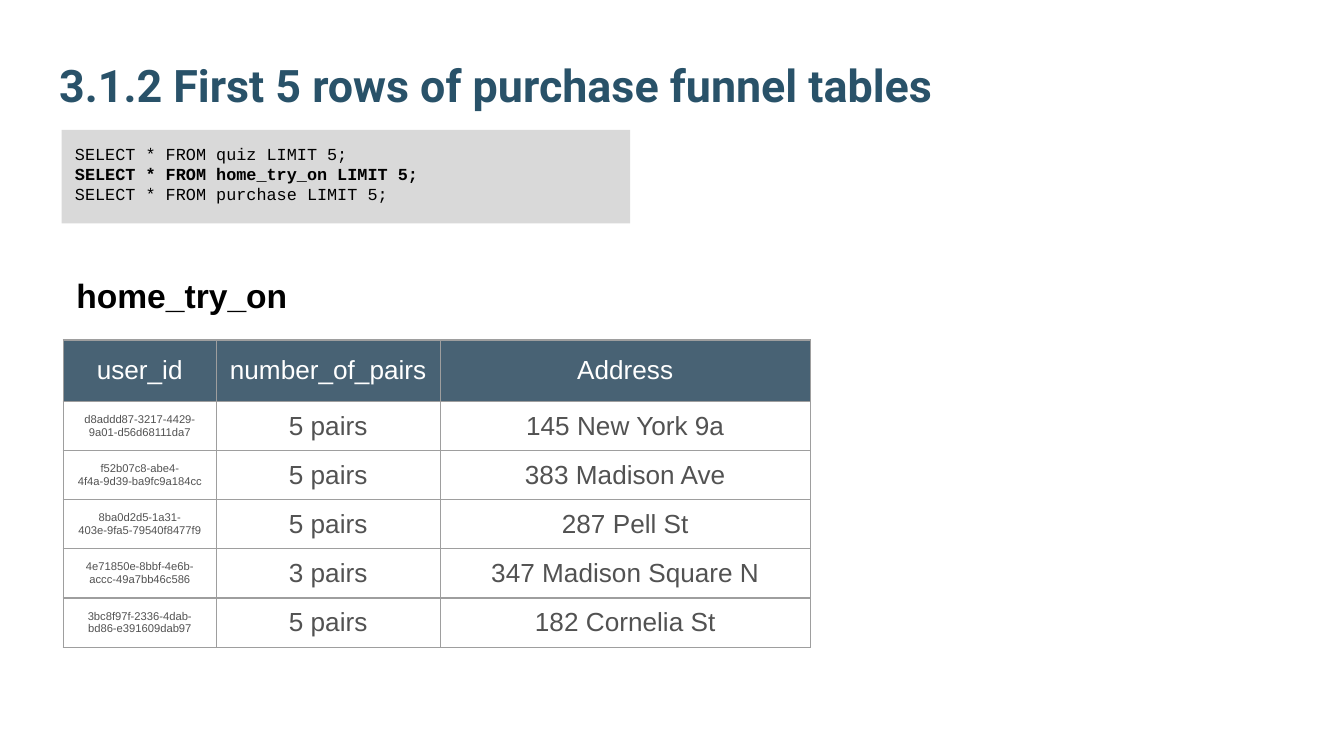
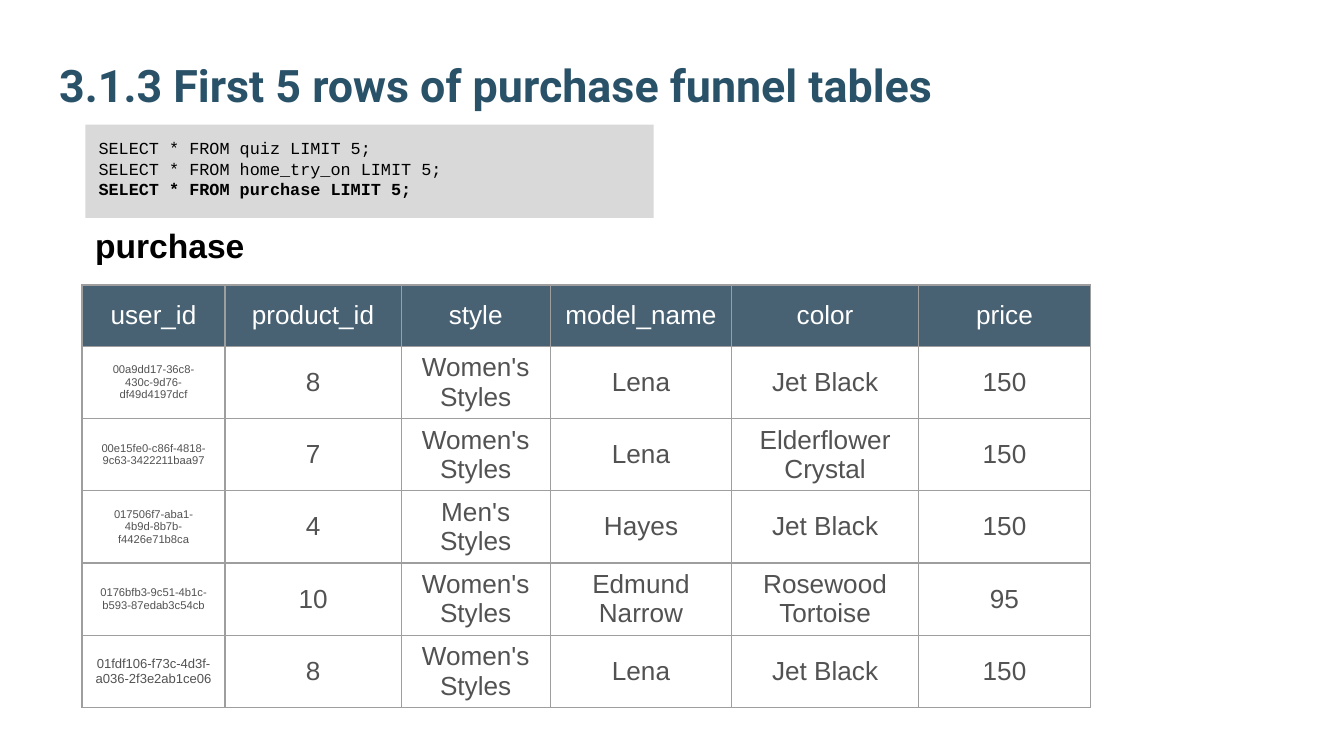
import dataclasses

import lxml.etree
import pptx
import pptx.dml.color
import pptx.enum.shapes
import pptx.enum.text
import pptx.oxml.ns
import pptx.util

ANCHOR = pptx.enum.text.MSO_ANCHOR
AUTO_SIZE = pptx.enum.text.MSO_AUTO_SIZE
ALIGN = pptx.enum.text.PP_ALIGN

SLIDE_WIDTH = pptx.util.Inches(10)
SLIDE_HEIGHT = SLIDE_WIDTH * 9 // 16
GRID_COLUMNS = 100  # square grid cells across the slide


@dataclasses.dataclass(frozen=True)
class Theme:
    title_color: str = "295269"
    code_fill: str = "D9D9D9"
    ink: str = "000000"
    header_fill: str = "204056"
    header_opacity: int = 82
    header_ink: str = "FFFFFF"
    cell_ink: str = "525252"
    border: str = "9E9E9E"
    border_width: float = 0.75
    title_font: str = "Roboto"
    body_font: str = "Arial"
    code_font: str = "Courier New"
    title_size: int = 24
    heading_size: int = 18
    cell_size: int = 14
    code_size: int = 9
    id_size: int = 6
    large_id_size: int = 7


THEME = Theme()

QUERIES = [
    "SELECT * FROM quiz LIMIT 5;",
    "SELECT * FROM home_try_on LIMIT 5;",
    "SELECT * FROM purchase LIMIT 5;",
]

HOME_TRY_ON = [
    ["user_id", "number_of_pairs", "Address"],
    ["d8addd87-3217-4429-9a01-d56d68111da7", "5 pairs", "145 New York 9a"],
    ["f52b07c8-abe4-4f4a-9d39-ba9fc9a184cc", "5 pairs", "383 Madison Ave"],
    ["8ba0d2d5-1a31-403e-9fa5-79540f8477f9", "5 pairs", "287 Pell St"],
    ["4e71850e-8bbf-4e6b-accc-49a7bb46c586", "3 pairs", "347 Madison Square N"],
    ["3bc8f97f-2336-4dab-bd86-e391609dab97", "5 pairs", "182 Cornelia St"],
]

PURCHASE = [
    ["user_id", "product_id", "style", "model_name", "color", "price"],
    ["00a9dd17-36c8-430c-9d76-df49d4197dcf", "8", "Women's Styles",
     "Lena", "Jet Black", "150"],
    ["00e15fe0-c86f-4818-9c63-3422211baa97", "7", "Women's Styles",
     "Lena", "Elderflower Crystal", "150"],
    ["017506f7-aba1-4b9d-8b7b-f4426e71b8ca", "4", "Men's Styles",
     "Hayes", "Jet Black", "150"],
    ["0176bfb3-9c51-4b1c-b593-87edab3c54cb", "10", "Women's Styles",
     "Edmund Narrow", "Rosewood Tortoise", "95"],
    ["01fdf106-f73c-4d3f-a036-2f3e2ab1ce06", "8", "Women's Styles",
     "Lena", "Jet Black", "150"],
]

HEADER_ROW, BODY_ROW = 4.57, 3.66


def grid(*cells):
    """Turn grid cells into slide lengths."""
    return [round(SLIDE_WIDTH * count / GRID_COLUMNS) for count in cells]


def rgb(color):
    return pptx.dml.color.RGBColor.from_string(color)


def format_runs(para, font, size, color, bold=False):
    for span in para.runs:
        span.font.name = font
        span.font.size = pptx.util.Pt(size)
        span.font.color.rgb = rgb(color)
        span.font.bold = bold


def set_frame(frame, anchor, inset=1):
    """Wrap the text and give all four sides the same inset."""
    frame.word_wrap = True
    frame.auto_size = AUTO_SIZE.NONE
    frame.vertical_anchor = anchor
    [margin] = grid(inset)
    frame.margin_left = frame.margin_right = margin
    frame.margin_top = frame.margin_bottom = margin


def set_title(page, text):
    title = page.shapes.title
    title.left, title.top, title.width, title.height = grid(3.4, 1.5, 93.2, 7.8)
    frame = title.text_frame
    frame.text = text
    set_frame(frame, ANCHOR.BOTTOM)
    para = frame.paragraphs[0]
    para.alignment = ALIGN.LEFT
    format_runs(para, THEME.title_font, THEME.title_size, THEME.title_color, True)


def add_code(page, left, top, active):
    """List the queries, with the active one in bold."""
    box = page.shapes.add_shape(
        pptx.enum.shapes.MSO_SHAPE.RECTANGLE, *grid(left, top, 42.3, 6.95))
    box.shadow.inherit = False
    box.fill.solid()
    box.fill.fore_color.rgb = rgb(THEME.code_fill)
    box.line.fill.background()
    frame = box.text_frame
    frame.text = "\n".join(QUERIES)
    set_frame(frame, ANCHOR.TOP)
    for index, para in enumerate(frame.paragraphs):
        para.alignment = ALIGN.LEFT
        format_runs(para, THEME.code_font, THEME.code_size, THEME.ink,
                    index == active)


def add_heading(page, text, left, top, width):
    box = page.shapes.add_textbox(*grid(left, top, width, 4))
    frame = box.text_frame
    frame.text = text
    frame.word_wrap = True
    frame.auto_size = AUTO_SIZE.SHAPE_TO_FIT_TEXT
    format_runs(frame.paragraphs[0], THEME.body_font, THEME.heading_size,
                THEME.ink, True)


def add_element(parent, tag, **attributes):
    return lxml.etree.SubElement(parent, pptx.oxml.ns.qn(tag), attributes)


def set_borders(cell):
    properties = cell._tc.get_or_add_tcPr()
    width = str(pptx.util.Pt(THEME.border_width))
    for side in ("L", "R", "T", "B"):
        line = add_element(properties, f"a:ln{side}", w=width)
        add_element(add_element(line, "a:solidFill"), "a:srgbClr",
                    val=THEME.border)


def fill_header(cell):
    cell.fill.solid()
    cell.fill.fore_color.rgb = rgb(THEME.header_fill)
    color = cell._tc.tcPr.find(".//" + pptx.oxml.ns.qn("a:srgbClr"))
    add_element(color, "a:alpha", val=str(THEME.header_opacity * 1000))


def set_cell(cell, text, size, is_header):
    cell.text = text
    cell.vertical_anchor = ANCHOR.MIDDLE
    if is_header:
        fill_header(cell)
    else:
        cell.fill.background()
    properties = cell._tc.tcPr
    fill = properties[0]
    set_borders(cell)
    properties.append(fill)  # the schema puts the fill after the borders
    para = cell.text_frame.paragraphs[0]
    para.alignment = ALIGN.CENTER
    format_runs(para, THEME.body_font, size,
                THEME.header_ink if is_header else THEME.cell_ink)


def add_data_table(page, rows, left, top, widths, height, large_ids=()):
    """Add a table whose first column holds small ids; large_ids are row numbers."""
    holder = page.shapes.add_table(
        len(rows), len(widths), *grid(left, top, sum(widths), height))
    table = holder.table
    table.horz_banding = False
    for column, width in zip(table.columns, grid(*widths)):
        column.width = width
    row_heights = [HEADER_ROW] + [BODY_ROW] * (len(rows) - 1)
    for row, row_height in zip(table.rows, grid(*row_heights)):
        row.height = row_height
    [holder.height] = grid(height)

    for row_index, values in enumerate(rows):
        for column_index, text in enumerate(values):
            size = THEME.cell_size
            if row_index > 0 and column_index == 0:
                size = (THEME.large_id_size if row_index in large_ids
                        else THEME.id_size)
            set_cell(table.cell(row_index, column_index), text, size,
                     row_index == 0)


def add_page(deck, number):
    page = deck.slides.add_slide(deck.slide_layouts.get_by_name("Title Only"))
    set_title(page, f"{number} First 5 rows of purchase funnel tables")
    return page


def main():
    deck = pptx.Presentation()
    deck.slide_width, deck.slide_height = SLIDE_WIDTH, SLIDE_HEIGHT

    page = add_page(deck, "3.1.2")
    add_code(page, 4.6, 9.67, active=1)
    add_data_table(page, HOME_TRY_ON, 4.7, 25.3, [11.4, 16.65, 27.55], 22.9)
    add_heading(page, "home_try_on", 4.7, 20, 31.9)

    page = add_page(deck, "3.1.3")
    add_code(page, 6.35, 9.27, active=2)
    add_data_table(page, PURCHASE, 6.1, 21.2,
                   [10.65, 13.1, 11.1, 13.5, 13.9, 12.8], 32.9, large_ids=[5])
    add_heading(page, "purchase", 6.1, 16.25, 15.8)

    deck.save("out.pptx")


if __name__ == "__main__":
    main()
